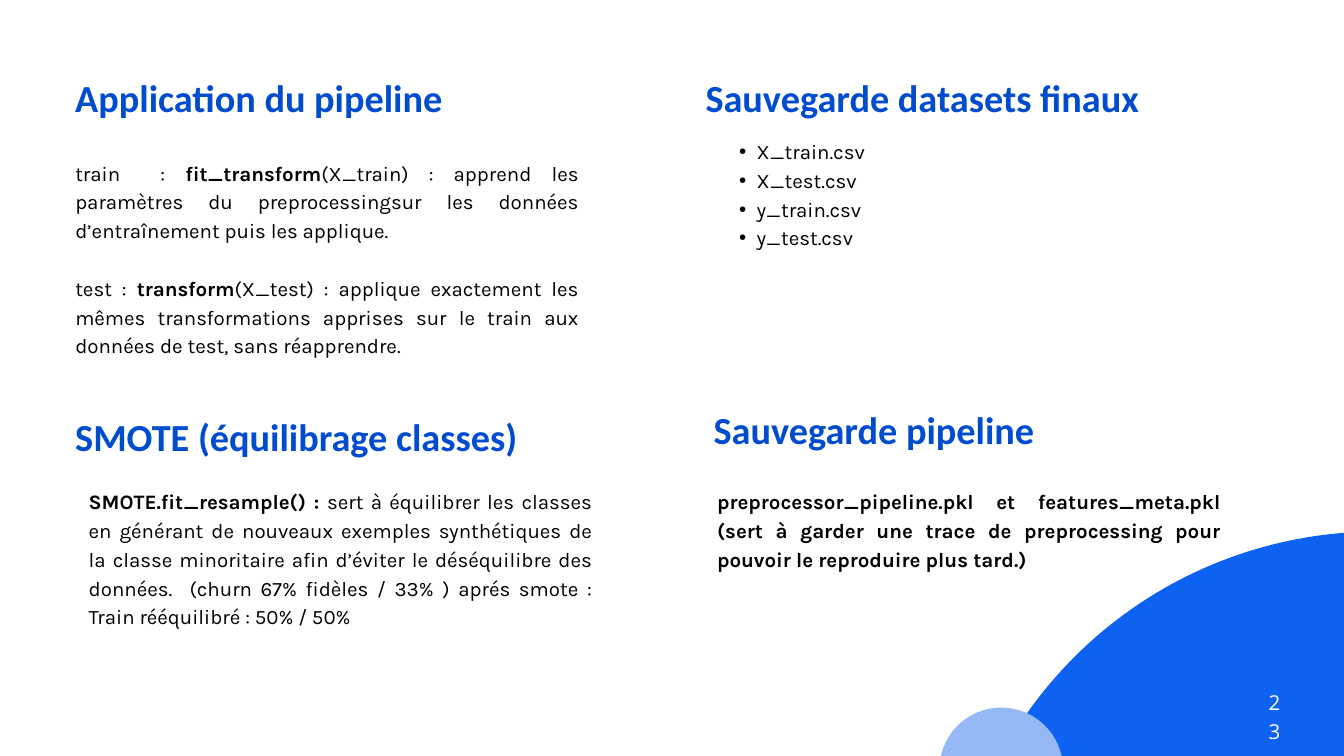
from pptx import Presentation
from pptx.dml.color import RGBColor
from pptx.enum.shapes import MSO_SHAPE as Shape
from pptx.enum.text import PP_ALIGN as Align
from pptx.oxml.ns import qn
from pptx.util import Inches, Pt
from lxml import etree

COLORS = {"title": "004CCF", "text": "000000", "disc": "0E62F2",
          "small disc": "95B8F6", "page": "FFFFFF"}
FORMATS = {
    "title": {"size": Pt(41), "name": "Calibri", "bold": True},
    "text": {"size": Pt(22), "name": "Karla"},
    "page": {"size": Pt(22), "name": "Open Sans"},
}
LINE_HEIGHTS = {"title": Pt(43.4), "text": Pt(30.8), "page": Pt(30.8)}


class SlideBuilder:
    def __init__(self, slide):
        self.slide = slide

    def disc(self, left, top, size, color):
        shape = self.slide.shapes.add_shape(
            Shape.OVAL, Inches(left), Inches(top), Inches(size), Inches(size))
        shape.shadow.inherit = False
        shape.fill.solid()
        shape.fill.fore_color.rgb = RGBColor.from_string(COLORS[color])
        shape.line.fill.background()

    def bullet(self, para):
        props = para._p.get_or_add_pPr()
        props.set("marL", str(Inches(0.52)))
        props.set("indent", str(Inches(-0.26)))
        etree.SubElement(props, qn("a:buFont")).set("typeface", "Arial")
        etree.SubElement(props, qn("a:buChar")).set("char", "•")

    def text(self, left, top, width, height, paragraphs, style="text",
             align=Align.JUSTIFY, bullets=False, gap=0):
        """Each paragraph is a list of (wording, bold) spans."""
        box = self.slide.shapes.add_textbox(
            Inches(left), Inches(top), Inches(width), Inches(height))
        frame = box.text_frame
        frame.word_wrap = True
        for side in ("left", "top", "right", "bottom"):
            setattr(frame, f"margin_{side}", 0)
        for index, spans in enumerate(paragraphs):
            para = frame.add_paragraph() if index else frame.paragraphs[0]
            if bullets:
                self.bullet(para)
            para.alignment = align
            para.line_spacing = LINE_HEIGHTS[style]
            if index and gap:
                para.space_before = Pt(gap)
            for wording, bold in spans:
                span = para.add_run()
                span.text = wording
                for name, value in ({"bold": bold} | FORMATS[style]).items():
                    setattr(span.font, name, value)
                span.font.color.rgb = RGBColor.from_string(COLORS[style])

    def title(self, left, top, wording):
        self.text(left, top, 8.37, 0.62, [[(wording, True)]], "title", Align.LEFT)


def main():
    deck = Presentation()
    deck.slide_width, deck.slide_height = Inches(20), Inches(11.25)
    page = SlideBuilder(deck.slides.add_slide(deck.slide_layouts[6]))

    # Corner decoration
    page.disc(14.12, 7.91, 12.75, "disc")
    page.disc(13.98, 10.53, 1.84, "small disc")

    # Section titles
    for left, top, wording in [
        (1.12, 1.18, "Application du pipeline"),
        (10.5, 1.18, "Sauvegarde datasets finaux"),
        (1.12, 6.23, "SMOTE (équilibrage classes)"),
        (10.62, 6.12, "Sauvegarde pipeline"),
    ]:
        page.title(left, top, wording)

    # Applying the pipeline
    page.text(1.12, 2.33, 7.49, 3.85, [
        [("train  : ", False), ("fit_transform", True),
         ("(X_train) : apprend les paramètres du preprocessingsur les données "
          "d’entraînement puis les applique.", False)],
        [("test : ", False), ("transform", True),
         ("(X_test) : applique exactement les mêmes transformations apprises "
          "sur le train aux données de test, sans réapprendre.", False)],
    ], gap=30.8)

    # Class balancing
    page.text(1.32, 7.22, 7.49, 2.99, [[
        ("SMOTE.fit_resample() : ", True),
        ("sert à équilibrer les classes en générant de nouveaux exemples "
         "synthétiques de la classe minoritaire afin d’éviter le déséquilibre "
         "des données.  (churn 67% fidèles / 33% ) aprés smote : "
         "Train rééquilibré : 50% / 50%", False)]])

    # Saved datasets
    files = [f"{part}_{stage}.csv" for part in "Xy" for stage in ("train", "test")]
    page.text(10.74, 2.01, 7.49, 2.56, [[(file, False)] for file in files],
              bullets=True)

    # Saved pipeline
    page.text(10.67, 7.22, 7.49, 1.71, [[
        ("preprocessor_pipeline.pkl et features_meta.pkl (sert à garder une trace "
         "de preprocessing pour pouvoir le reproduire plus tard.)", True)]])

    # Page number, one digit per line
    page.text(18.88, 10.21, 0.17, 0.21, [[("23", False)]], "page", Align.CENTER)

    deck.save("out.pptx")


if __name__ == "__main__":
    main()
